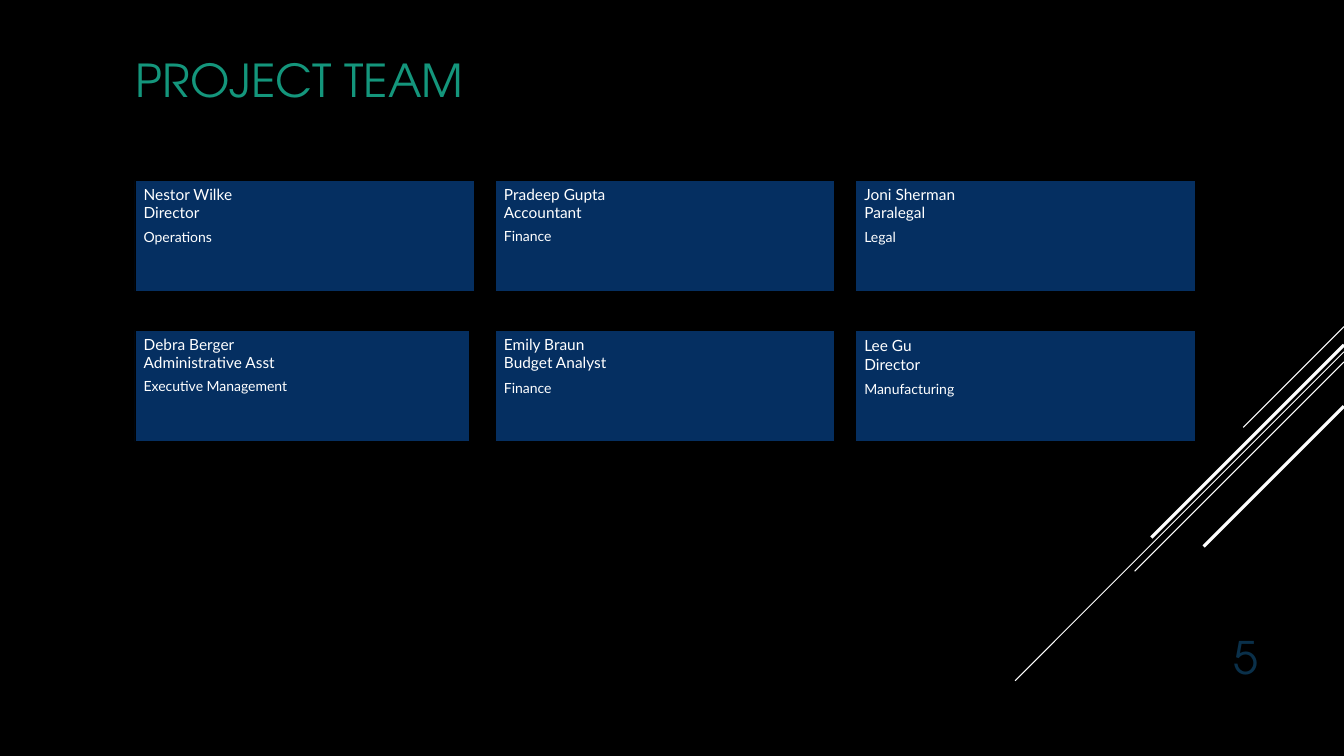
from copy import deepcopy
from dataclasses import dataclass

from pptx import Presentation
from pptx.dml.color import RGBColor
from pptx.enum.shapes import MSO_CONNECTOR as Connector, MSO_SHAPE as Preset
from pptx.enum.text import MSO_ANCHOR as Anchor, PP_ALIGN as Align
from pptx.oxml.ns import qn
from pptx.slide import Slide
from pptx.text.text import TextFrame
from pptx.oxml.xmlchemy import OxmlElement
from pptx.util import Pt

HEADING_FONT = "TeX Gyre Adventor"
BODY_FONT = "Lato"
BLACK, WHITE, NAVY = "000000", "FFFFFF", "052F61"
CARD_LEFT, CARD_TOP = 96.4, 128.9
COLUMN_STEP, ROW_STEP = 257.4, 107.2
CARD_WIDTH, CARD_HEIGHT = 242.6, 79.2
COLUMNS = 3
SLIDE_WIDTH = 960


@dataclass
class Member:
    name: str
    role: str
    department: str
    role_spacing: float = 1.0
    department_spacing: float = 1.0
    width: float = CARD_WIDTH


@dataclass
class Stripe:
    top: float
    length: float
    weight: float


MEMBERS = [
    Member("Nestor Wilke", "Director", "Operations", department_spacing=1.06),
    Member("Pradeep Gupta", "Accountant", "Finance"),
    Member("Joni Sherman", "Paralegal", "Legal", department_spacing=1.1),
    Member("Debra Berger", "Administrative Asst", "Executive Management", width=239),
    Member("Emily Braun", "Budget Analyst", "Finance", department_spacing=1.1),
    Member("Lee Gu", "Director", "Manufacturing", 1.05, 1.05),
]

STRIPES = [
    Stripe(233.3, 72, 0.75),
    Stripe(251.3, 234.9, 0.75),
    Stripe(258.5, 149.5, 0.75),
    Stripe(246.4, 137.6, 2.25),
    Stripe(290.2, 100.2, 2.25),
]


def color(value: str) -> RGBColor:
    return RGBColor.from_string(value)


def write(frame: TextFrame, text: str, *, size: float, font: str, fill: str,
          align: Align = Align.LEFT, spacing: float = 1.0,
          after: float = 0, first: bool = True) -> None:
    paragraph = frame.paragraphs[0] if first else frame.add_paragraph()
    paragraph.text = text
    paragraph.alignment = align
    paragraph.line_spacing = spacing
    paragraph.space_before = Pt(0)
    paragraph.space_after = Pt(after)
    for run in paragraph.runs:
        run.font.size = Pt(size)
        run.font.name = font
        run.font.color.rgb = color(fill)
    for line_break in paragraph._p.findall(qn("a:br")):
        line_break.append(deepcopy(paragraph.runs[0]._r.rPr))


def add_heading(slide: Slide, text: str, left: float, top: float, width: float,
                height: float, anchor: Anchor, size: float, fill: str,
                align: Align = Align.LEFT) -> None:
    frame = slide.shapes.add_textbox(Pt(left), Pt(top), Pt(width), Pt(height)).text_frame
    frame.word_wrap = True
    frame.vertical_anchor = anchor
    write(frame, text, size=size, font=HEADING_FONT, fill=fill, align=align)


def add_stripe(slide: Slide, stripe: Stripe) -> None:
    line = slide.shapes.add_connector(
        Connector.STRAIGHT, Pt(SLIDE_WIDTH), Pt(stripe.top),
        Pt(SLIDE_WIDTH - stripe.length), Pt(stripe.top + stripe.length))
    line.line.color.rgb = color(WHITE)
    line.line.width = Pt(stripe.weight)
    line._element.spPr.append(OxmlElement("a:effectLst"))


def add_card(slide: Slide, member: Member, index: int) -> None:
    row, column = divmod(index, COLUMNS)
    shape = slide.shapes.add_shape(
        Preset.RECTANGLE, Pt(CARD_LEFT + column * COLUMN_STEP),
        Pt(CARD_TOP + row * ROW_STEP), Pt(member.width), Pt(CARD_HEIGHT))
    shape.shadow.inherit = False
    shape.fill.solid()
    shape.fill.fore_color.rgb = color(NAVY)
    shape.line.color.rgb = color(BLACK)
    shape.line.width = Pt(0.5)
    frame = shape.text_frame
    frame.word_wrap = True
    frame.vertical_anchor = Anchor.TOP
    frame.margin_left = frame.margin_right = Pt(6.2)
    frame.margin_top = frame.margin_bottom = Pt(3.1)
    write(frame, f"{member.name}\n{member.role}", size=11, font=BODY_FONT,
          fill=WHITE, spacing=member.role_spacing, after=4)
    write(frame, member.department, size=10, font=BODY_FONT, fill=WHITE,
          spacing=member.department_spacing, after=4, first=False)


def main() -> None:
    presentation = Presentation()
    presentation.slide_width, presentation.slide_height = Pt(SLIDE_WIDTH), Pt(540)
    slide = presentation.slides.add_slide(presentation.slide_layouts[6])
    slide.background.fill.solid()
    slide.background.fill.fore_color.rgb = color(BLACK)
    for stripe in STRIPES:
        add_stripe(slide, stripe)
    add_heading(slide, "PROJECT TEAM", 90, 35.3, 789.8, 43.2, Anchor.MIDDLE, 32.4, "14967C")
    add_heading(slide, "5", 815.8, 439.2, 90, 52.6, Anchor.BOTTOM, 32, "0A304A", Align.RIGHT)
    for index, member in enumerate(MEMBERS):
        add_card(slide, member, index)
    presentation.save("out.pptx")


if __name__ == "__main__":
    main()
